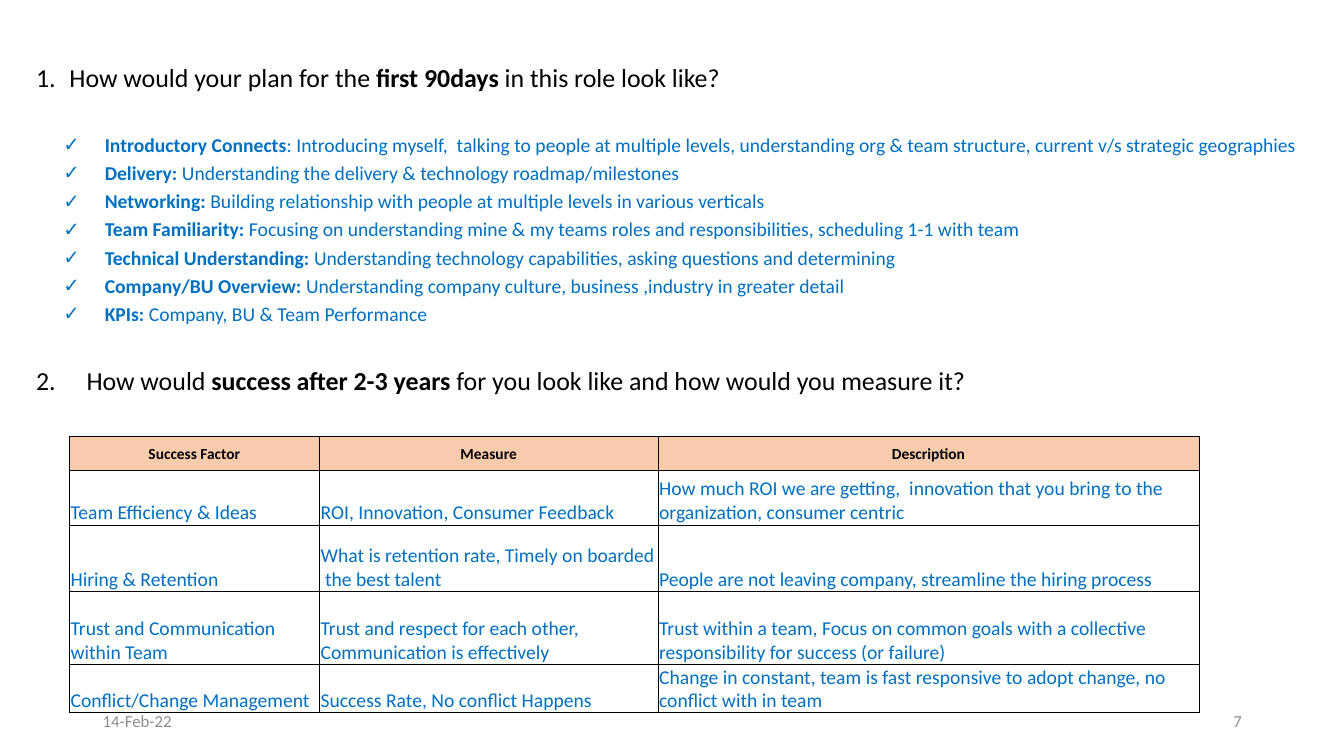
from lxml import etree
from pptx import Presentation
from pptx.dml.color import RGBColor
from pptx.enum.text import MSO_ANCHOR, MSO_AUTO_SIZE, PP_ALIGN
from pptx.oxml.ns import qn
from pptx.util import Cm, Pt

BLACK = RGBColor(0x00, 0x00, 0x00)
BLUE = RGBColor(0x00, 0x70, 0xC0)
GREY = RGBColor(0x8C, 0x8C, 0x8C)
PEACH = RGBColor(0xF8, 0xCB, 0xAD)
FONT = "Calibri"
LEFT, CENTER, RIGHT = PP_ALIGN.LEFT, PP_ALIGN.CENTER, PP_ALIGN.RIGHT
TOP, MIDDLE, BOTTOM = MSO_ANCHOR.TOP, MSO_ANCHOR.MIDDLE, MSO_ANCHOR.BOTTOM
NO_FIT = MSO_AUTO_SIZE.NONE

PLAN = [
    ("", "How would your plan for the ", "first 90days ", "in this role look like?"),
    [
        ("Introductory Connects", ": Introducing myself,  talking to people at multiple levels, understanding org & team structure, current v/s strategic geographies"),
        ("Delivery: ", "Understanding the delivery & technology roadmap/milestones"),
        ("Networking: ", "Building relationship with people at multiple levels in various verticals"),
        ("Team Familiarity: ", "Focusing on understanding mine & my teams roles and responsibilities, scheduling 1-1 with team"),
        ("Technical Understanding: ", "Understanding technology capabilities, asking questions and determining"),
        ("Company/BU Overview: ", "Understanding company culture, business ,industry in greater detail"),
        ("KPIs: ", "Company, BU & Team Performance"),
    ],
    ("", "How would ", "success after 2-3 years", " for you look like and how would you measure it?"),
]
ROWS = [
    ("Success Factor", "Measure", "Description"),
    ("Team Efficiency & Ideas", "ROI, Innovation, Consumer Feedback",
     "How much ROI we are getting,  innovation that you bring to the organization, consumer centric"),
    ("Hiring & Retention", "What is retention rate, Timely on boarded  the best talent",
     "People are not leaving company, streamline the hiring process"),
    ("Trust and Communication within Team", "Trust and respect for each other, Communication is effectively",
     "Trust within a team, Focus on common goals with a collective responsibility for success (or failure)"),
    ("Conflict/Change Management", "Success Rate, No conflict Happens",
     "Change in constant, team is fast responsive to adopt change, no conflict with in team"),
]
WIDTHS = [6.3, 8.53, 13.64]
HEIGHTS = [0.86, 1.37, 1.68, 1.83, 1.22]


def add_run(para, text, size, color, bold=False):
    run = para.add_run()
    run.text = text
    font = run.font
    font.name, font.size, font.bold = FONT, Pt(size), bold
    font.color.rgb = color


def add_item(para, parts, level, size, color, gap, indent, hang, mark):
    para.level = level
    para.alignment = LEFT
    para.line_spacing = 0.9
    para.space_before = Pt(gap)
    para.space_after = Pt(0)
    props = para._p.get_or_add_pPr()
    props.set("marL", str(Cm(indent)))
    props.set("indent", str(-Cm(hang)))
    if isinstance(mark, int):
        etree.SubElement(props, qn("a:buAutoNum"), type="arabicPeriod", startAt=str(mark))
    else:
        etree.SubElement(props, qn("a:buChar"), char=mark)
    for i, text in enumerate(parts):
        if text:
            add_run(para, text, size, color, i % 2 == 0)


def add_plan(slide, box):
    body = slide.placeholders[1]
    body.left, body.top, body.width, body.height = (Cm(v) for v in box)
    frame = body.text_frame
    frame.word_wrap = True
    frame.auto_size = NO_FIT
    frame.vertical_anchor = TOP
    frame.margin_left = frame.margin_right = Cm(0.25)
    frame.margin_top = Cm(1.04)
    first, points, second = PLAN
    add_head(frame.paragraphs[0], first, 0, 1.5, 0.84, 1)
    for i, parts in enumerate(points):
        add_item(frame.add_paragraph(), parts, 4, 14, BLUE, 5 if i else 30, 2.39, 1.04, "✓")
    add_head(frame.add_paragraph(), second, 30, 1.93, 1.27, 2)


def add_head(para, parts, gap, indent, hang, number):
    text = parts[1:]
    add_item(para, ("",) + text, 1, 18.5, BLACK, gap, indent, hang, number)


def add_edges(cell):
    props = cell._tc.get_or_add_tcPr()
    for side in ("a:lnL", "a:lnR", "a:lnT", "a:lnB"):
        line = etree.SubElement(props, qn(side), w=str(Pt(0.5)))
        fill = etree.SubElement(line, qn("a:solidFill"))
        etree.SubElement(fill, qn("a:srgbClr"), val=str(BLACK))


def add_grid(slide, box):
    shape = slide.shapes.add_table(len(ROWS), len(WIDTHS), *(Cm(v) for v in box))
    table = shape.table
    table.first_row = table.horz_banding = False
    for column, width in zip(table.columns, WIDTHS):
        column.width = Cm(width)
    for r, (row, height) in enumerate(zip(table.rows, HEIGHTS)):
        row.height = Cm(height)
        for cell, text in zip(row.cells, ROWS[r]):
            add_edges(cell)
            cell.margin_left = cell.margin_right = cell.margin_top = Cm(0.03)
            cell.margin_bottom = 0
            para = cell.text_frame.paragraphs[0]
            if r == 0:
                cell.fill.solid()
                cell.fill.fore_color.rgb = PEACH
                cell.vertical_anchor = MIDDLE
                para.alignment = CENTER
                add_run(para, text, 11, BLACK, True)
            else:
                cell.fill.background()
                cell.vertical_anchor = BOTTOM
                para.alignment = LEFT
                add_run(para, text, 14, BLUE)


def add_foot(slide, box):
    left, top, width, height = box
    part = 7.62
    for x, text, align in ((left, "14-Feb-22", LEFT), (left + width - part, "7", RIGHT)):
        note = slide.shapes.add_textbox(Cm(x), Cm(top), Cm(part), Cm(height))
        frame = note.text_frame
        frame.word_wrap = True
        frame.vertical_anchor = MIDDLE
        para = frame.paragraphs[0]
        para.alignment = align
        add_run(para, text, 12, GREY)


def main():
    deck = Presentation()
    deck.slide_width, deck.slide_height = Cm(33.87), Cm(19.05)
    slide = deck.slides.add_slide(deck.slide_layouts[1])
    title = slide.shapes.title.element
    title.getparent().remove(title)
    add_foot(slide, (2.34, 17.65, 29.21, 1.02))
    add_plan(slide, (0, 0.61, 33.32, 17.27))
    add_grid(slide, (1.75, 11, sum(WIDTHS), sum(HEIGHTS)))
    deck.save("out.pptx")


if __name__ == "__main__":
    main()
